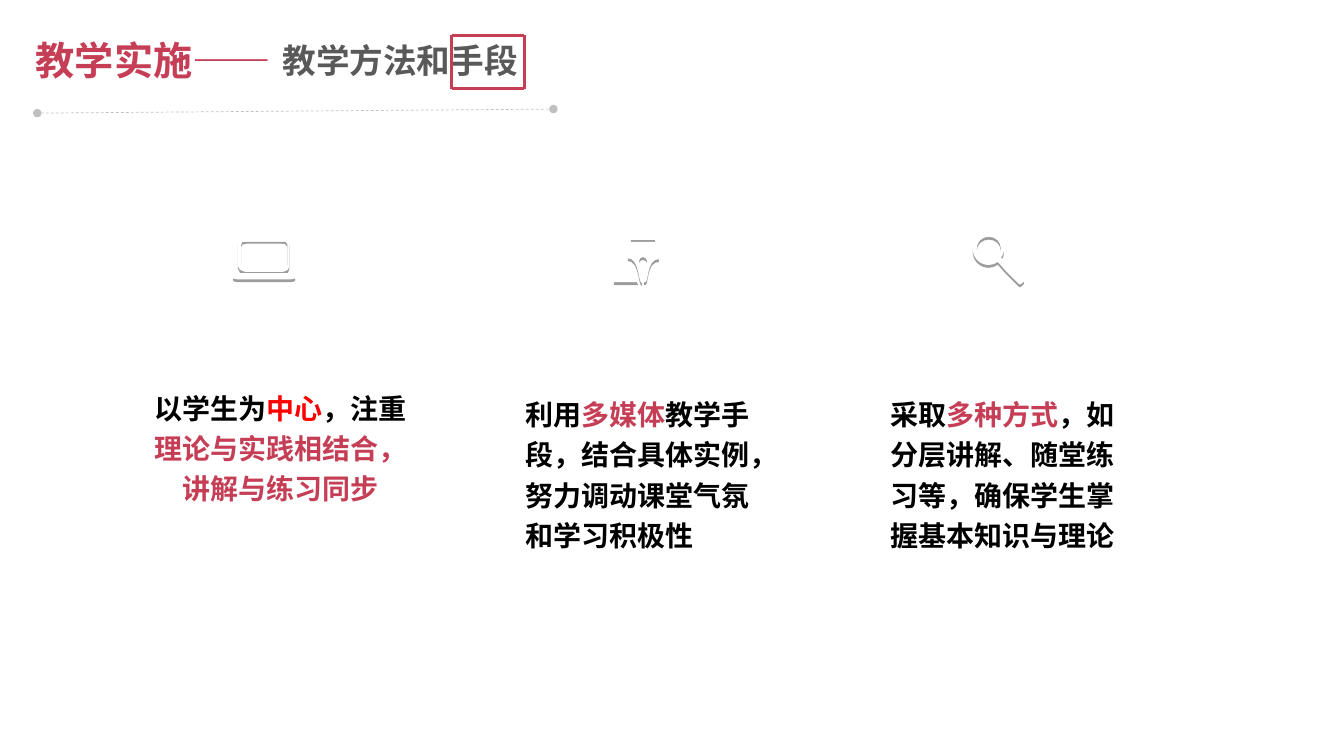
from dataclasses import dataclass
from lxml import etree
from pptx import Presentation
from pptx import util as u
from pptx.dml import color
from pptx.enum import dml, shapes, text
from pptx.oxml import ns

Pt = u.Pt


@dataclass(frozen=True)
class Theme:
    font: str = "Noto Sans CJK SC"
    accent: str = "C63E55"
    alert: str = "FF0000"
    ink: str = "000000"
    grey: str = "595959"
    rule: str = "BFBFBF"
    icon: str = "FFFFFF"
    title: int = 28
    subtitle: int = 24
    body: int = 20


THEME = Theme()
GRID = Pt(0.72)

LAPTOP = [
    [(58, 34), (4, 34), (1, 34, 0, 36, 0, 38), (0, 39, 1, 40, 4, 40), (58, 40),
     (60, 40, 62, 39, 62, 38), (62, 36, 60, 34, 58, 34)],
    [(11, 32), (51, 32), (54, 32, 56, 30, 56, 27), (56, 4), (56, 3, 55, 2, 54, 1),
     (54, 0, 52, 0, 51, 0), (11, 0), (8, 0, 5, 2, 5, 4), (5, 27), (5, 30, 8, 32, 11, 32)],
    [(8, 6), (8, 3, 10, 2, 13, 2), (49, 2), (51, 2, 53, 2, 53, 4), (54, 4, 54, 5, 54, 6),
     (54, 26), (54, 29, 51, 30, 49, 30), (13, 30), (10, 30, 8, 29, 8, 26)],
]
PEN = [
    [(41, 8), (17, 8), (17, 0, 18, 1, 27, 1), (31, 1), (41, 1, 41, 0, 41, 8)],
    [(41, 10), (17, 10), (14, 26), (26, 26, 24, 50, 28, 50), (28, 32),
     (26, 32, 25, 30, 25, 28), (25, 26, 27, 24, 29, 24), (31, 24, 33, 26, 33, 28),
     (33, 30, 32, 32, 30, 32), (30, 50), (31, 50), (35, 50, 32, 26, 45, 26)],
    [(23, 47), (0, 47), (0, 50), (23, 50), (24, 50, 24, 49, 24, 48), (24, 48, 24, 47, 23, 47)],
]
MAGNIFIER = [
    [(51, 46), (38, 33), (28, 24), (30, 22, 31, 19, 31, 15), (31, 7, 24, 0, 16, 0),
     (7, 0, 0, 7, 0, 15), (0, 24, 7, 31, 16, 31), (19, 31, 22, 30, 25, 28), (33, 37),
     (46, 50), (46, 51, 48, 50, 49, 49), (51, 48, 51, 46, 51, 46)],
    [(16, 27), (9, 27, 4, 22, 4, 15), (4, 8, 9, 3, 16, 3), (23, 3, 28, 8, 28, 15),
     (28, 22, 23, 27, 16, 27)],
]


def rgb(value):
    return color.RGBColor.from_string(value)


def bend(icon, outlines):
    segments = [segment for outline in outlines for segment in outline[1:]]
    straights = list(icon._element.iter(ns.qn("a:lnTo")))
    for straight, segment in zip(straights, segments):
        if len(segment) == 2:
            continue
        curve = etree.Element(ns.qn("a:cubicBezTo"))
        for x, y in zip(segment[::2], segment[1::2]):
            etree.SubElement(curve, ns.qn("a:pt"), x=str(x), y=str(y))
        straight.getparent().replace(straight, curve)


def draw_icon(group, outlines, left, top):
    anchors = [[segment[-2:] for segment in outline] for outline in outlines]
    builder = group.shapes.build_freeform(*anchors[0][0], scale=GRID)
    for index, points in enumerate(anchors):
        if index:
            builder.move_to(*points[0])
        builder.add_line_segments(points[1:], close=False)
    icon = builder.convert_to_shape(Pt(left), Pt(top))
    bend(icon, outlines)
    track = next(icon._element.iter(ns.qn("a:path")))
    for start in list(track.iter(ns.qn("a:moveTo")))[1:]:
        start.addprevious(etree.Element(ns.qn("a:close")))
    etree.SubElement(track, ns.qn("a:close"))
    icon.fill.solid()
    icon.fill.fore_color.rgb = rgb(THEME.icon)
    icon.line.fill.background()
    icon.shadow.inherit = False
    effects = icon._element.spPr.find(ns.qn("a:effectLst"))
    shadow = etree.SubElement(effects, ns.qn("a:outerShdw"), blurRad="0",
                              dist=str(Pt(2)), dir="5400000", algn="t", rotWithShape="0")
    black = etree.SubElement(shadow, ns.qn("a:srgbClr"), val=THEME.ink)
    etree.SubElement(black, ns.qn("a:alpha"), val="39000")


def write(box, spans, size, align=text.PP_ALIGN.LEFT, wrap=True, spacing=1.0):
    frame = box.text_frame
    frame.word_wrap = wrap
    frame.auto_size = text.MSO_AUTO_SIZE.SHAPE_TO_FIT_TEXT
    frame.vertical_anchor = text.MSO_ANCHOR.TOP
    para = frame.paragraphs[0]
    para.alignment = align
    para.line_spacing = spacing
    para.font.name = THEME.font
    para.font.size = Pt(size)
    para.font.bold = True
    defaults = para._p.pPr.find(ns.qn("a:defRPr"))
    etree.SubElement(defaults, ns.qn("a:ea"), typeface=THEME.font)
    if len(spans) == 1:
        para.font.color.rgb = rgb(spans[0][1])
    for words, shade in spans:
        span = para.add_run()
        span.text = words
        if len(spans) > 1:
            span.font.color.rgb = rgb(shade)


def draw_line(page, start, end, shade, width):
    line = page.shapes.add_connector(shapes.MSO_CONNECTOR.STRAIGHT,
                                     *(Pt(value) for value in (*start, *end)))
    line.line.color.rgb = rgb(shade)
    line.line.width = Pt(width)
    etree.SubElement(line._element.spPr, ns.qn("a:effectLst"))
    return line


def draw_header(page, left, top):
    title = page.shapes.title
    title.left, title.top, title.width, title.height = (
        Pt(left), Pt(top), Pt(188.64), Pt(41.04))
    write(title, [("教学实施——", THEME.accent)], THEME.title, wrap=False)
    subtitle = page.shapes.add_textbox(Pt(left + 176.4), Pt(top + 2.88), Pt(184.32), Pt(36))
    write(subtitle, [("教学方法和手段", THEME.grey)], THEME.subtitle, wrap=False)

    rule = draw_line(page, (left + 8.2, top + 58.5), (left + 376.9, top + 55.6),
                     THEME.rule, 0.5)
    rule.line.dash_style = dml.MSO_LINE.DASH
    stroke = rule.line._get_or_add_ln()
    for end in ("a:headEnd", "a:tailEnd"):
        etree.SubElement(stroke, ns.qn(end), type="oval")

    x, y, width, height = left + 304.2, top + 2.88, 51.84, 38.16
    corners = [(x, y), (x + width, y), (x + width, y + height), (x, y + height)]
    for start, end in zip(corners, corners[1:] + corners[:1]):
        draw_line(page, start, end, THEME.accent, 2.25)


def draw_method(page, left, top, width, height, align, spans, icon, icon_left, icon_top):
    group = page.shapes.add_group_shape()
    draw_icon(group, icon, left + icon_left, top + icon_top)
    box = group.shapes.add_textbox(Pt(left), Pt(top), Pt(width), Pt(height))
    write(box, spans, THEME.body, align, spacing=1.2)


def main():
    deck = Presentation()
    deck.slide_width, deck.slide_height = Pt(960), Pt(540)
    page = deck.slides.add_slide(deck.slide_layouts[5])
    left, center = text.PP_ALIGN.LEFT, text.PP_ALIGN.CENTER
    ink, accent = THEME.ink, THEME.accent
    draw_method(page, 98.2, 271.2, 204.48, 94.32, center,
                [("以学生为", ink), ("中心", THEME.alert), ("，注重", ink),
                 ("理论与实践相结合，讲解与练习同步", accent)],
                LAPTOP, 68.2, -100.5)
    draw_method(page, 368.2, 275.6, 181.44, 123.84, left,
                [("利用", ink), ("多媒体", accent),
                 ("教学手段，结合具体实例，努力调动课堂气氛和学习积极性", ink)],
                PEN, 70.2, -110)
    draw_method(page, 626.2, 275.6, 180, 123.84, center,
                [("采取", ink), ("多种方式", accent),
                 ("，如分层讲解、随堂练习等，确保学生掌握基本知识与理论", ink)],
                MAGNIFIER, 68.6, -108.6)
    draw_header(page, 18.4, 22.32)
    deck.save("out.pptx")


if __name__ == "__main__":
    main()
